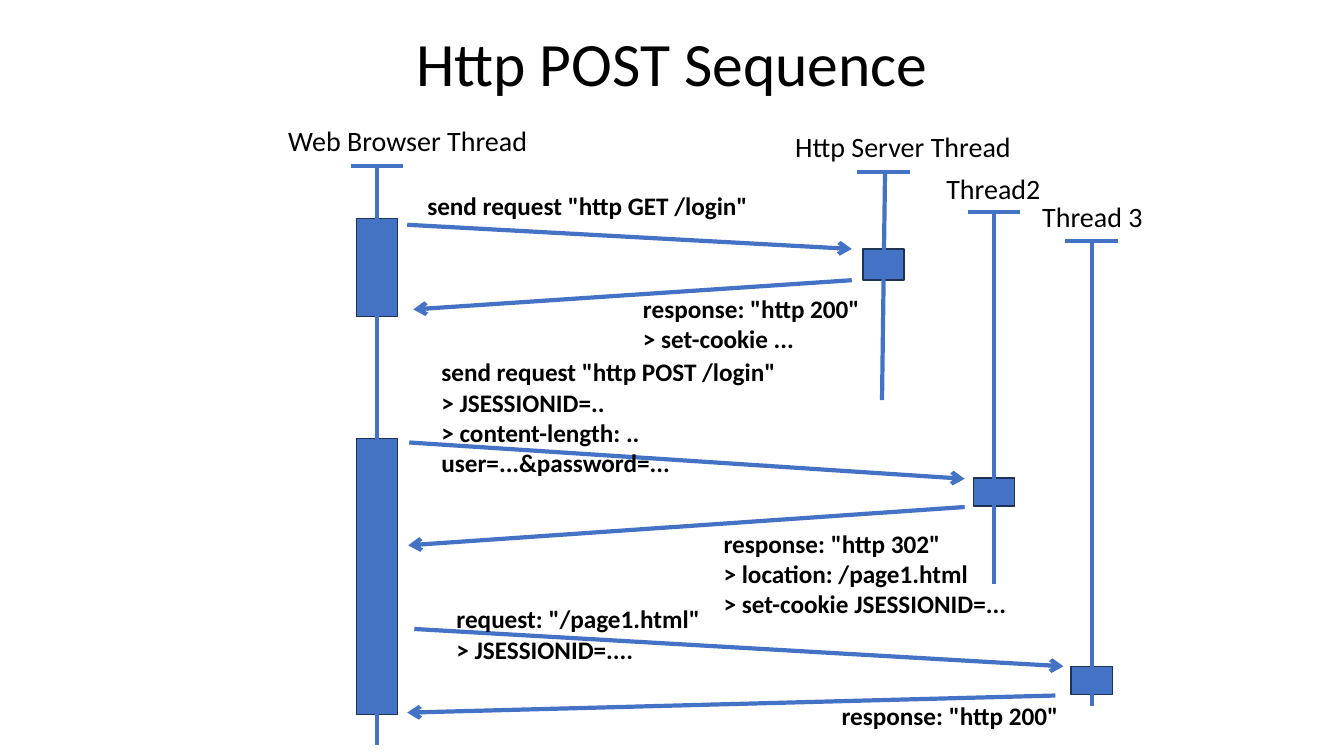
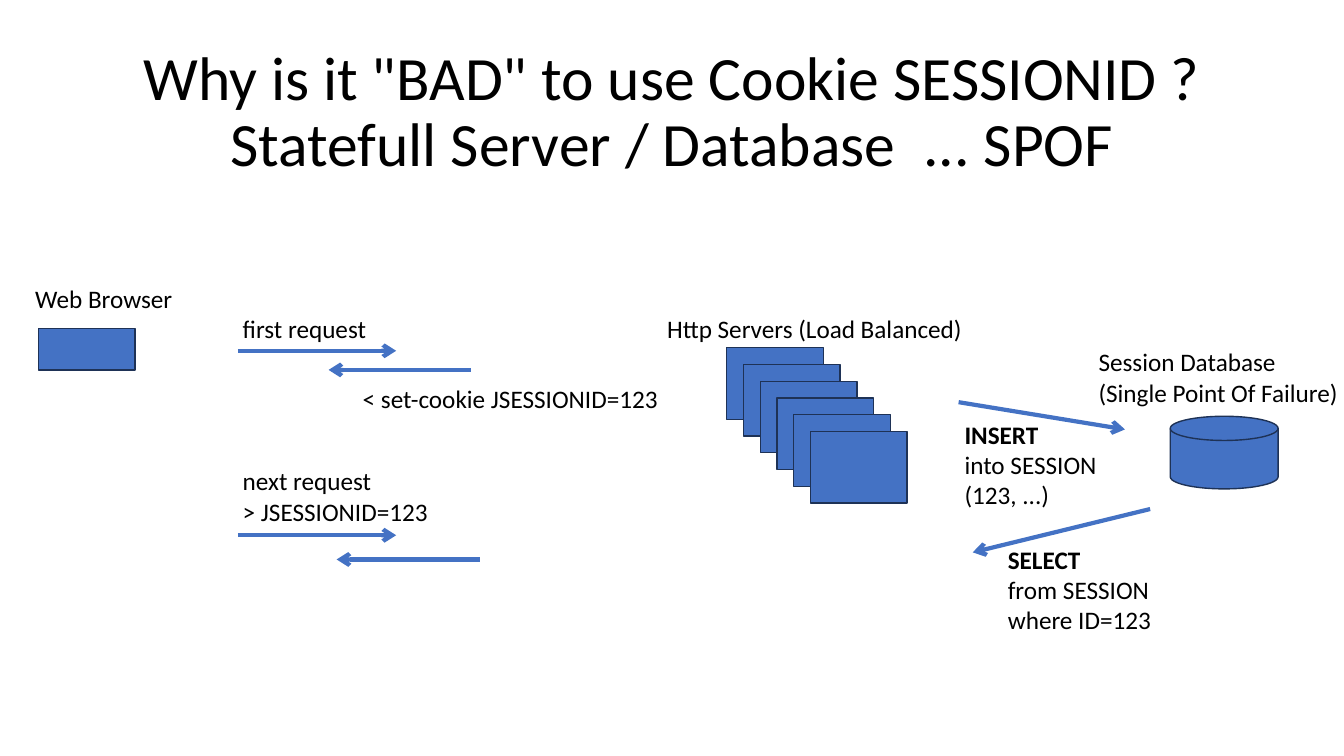
from dataclasses import dataclass

from lxml import etree
from pptx import Presentation, util as u
from pptx.dml.color import RGBColor
from pptx.enum import shapes, text
from pptx.oxml.ns import qn
from pptx.presentation import Presentation as Deck
from pptx.slide import Slide

CELL = 0.1  # inches; every position below counts columns and rows of this grid
COLUMNS, ROWS = 133.33, 75
BLUE = RGBColor(0x44, 0x72, 0xC4)
NAVY = RGBColor(0x1E, 0x32, 0x56)
BLACK = RGBColor(0, 0, 0)
FONT = "Calibri"
TITLE_SIZE, HEAD_SIZE, LABEL_SIZE = 44, 20, 18
TITLE_LEFT, TITLE_WIDTH = 9.2, 115
HEAD_BAR, ACTIVATION_WIDTH = 5.2, 4.1
SERVER_COUNT, SERVER_STEP = 6, 1.66


@dataclass(frozen=True)
class Label:
    left: float
    top: float
    width: float
    lines: tuple[str, ...]
    size: int = LABEL_SIZE


@dataclass(frozen=True)
class Arrow:
    x1: float
    y1: float
    x2: float
    y2: float


@dataclass(frozen=True)
class Block:
    left: float
    top: float
    width: float
    height: float
    kind: shapes.MSO_SHAPE = shapes.MSO_SHAPE.RECTANGLE


@dataclass(frozen=True)
class Lifeline:
    label: Label
    top_x: float
    top: float
    foot_x: float
    foot: float
    activations: tuple[tuple[float, float], ...]  # top and height of each


LIFELINES = (
    Lifeline(Label(27.6, 11.8, 25.9, ("Web Browser Thread",), HEAD_SIZE),
             37.4, 16.5, 37.4, 73.9, ((21.7, 9.7), (43.5, 27.4))),
    Lifeline(Label(77.9, 12.4, 23.7, ("Http Server Thread",), HEAD_SIZE),
             87.8, 17.1, 87.5, 39.7, ((24.7, 3.1),)),
    Lifeline(Label(92.9, 16.5, 11.4, ("Thread2",), HEAD_SIZE),
             98.6, 21, 98.6, 57.9, ((47.4, 2.8),)),
    Lifeline(Label(102.4, 19.3, 12.1, ("Thread 3",), HEAD_SIZE),
             108.3, 23.9, 108.3, 70, ((66.1, 2.8),)),
)
MESSAGES = (
    (Arrow(40.4, 22.3, 84.5, 24.7),
     Label(41.4, 18.4, 34.1, ('send request "http GET /login"',))),
    (Arrow(84.5, 27.8, 41, 30.7),
     Label(62.8, 28.6, 23.8, ('response: "http 200"', "> set-cookie ..."))),
    (Arrow(40.6, 43.9, 95.7, 47.5),
     Label(42.8, 34.9, 35.5, ('send request "http POST /login"', "> JSESSIONID=..",
                              "> content-length: ..", "user=...&password=..."))),
    (Arrow(95.7, 50.3, 40.5, 54.1),
     Label(70.8, 51.9, 30.3, ('response: "http 302"', "> location: /page1.html",
                              "> set-cookie JSESSIONID=..."))),
    (Arrow(41.1, 62.4, 105.5, 66.1),
     Label(44.3, 59.4, 26.4, ('request: "/page1.html"', "> JSESSIONID=...."))),
    (Arrow(104.7, 69, 40.4, 70.7),
     Label(82.5, 69, 23.8, ('response: "http 200"',))),
)

BROWSER = Block(3.8, 32.6, 9.6, 4.1)
DATABASE = Block(116.1, 41.3, 10.7, 7.2, shapes.MSO_SHAPE.FLOWCHART_MAGNETIC_DISK)
SERVERS = tuple(Block(72.1 + i * SERVER_STEP, 34.5 + i * SERVER_STEP, 9.6, 7.1)
                for i in range(SERVER_COUNT))
NOTES = (
    Label(65.2, 30.6, 31.7, ("Http Servers (Load Balanced)",)),
    Label(108, 33.9, 26, ("Session Database", "(Single Point Of Failure)")),
    Label(2.5, 27.6, 15.8, ("Web Browser",)),
    Label(23.1, 30.6, 14.4, ("first request",)),
    Label(35, 37.5, 31.7, ("< set-cookie JSESSIONID=123",)),
    Label(23.1, 45.7, 20.6, ("next request", "> JSESSIONID=123")),
)
HTTP_CALLS = (
    Arrow(23.6, 34.8, 39.3, 34.8),
    Arrow(46.7, 36.7, 32.6, 36.7),
    Arrow(23.6, 53.1, 39.3, 53.1),
    Arrow(47.6, 55.5, 33.4, 55.5),
)
QUERIES = (
    (Arrow(95.1, 39.9, 111.6, 42.6),
     Label(94.7, 41.1, 15.8, ("INSERT", "into SESSION", "(123, ...)"))),
    (Arrow(114.1, 50.5, 96.5, 54.8),
     Label(99, 53.5, 16.7, ("SELECT", "from SESSION", "where ID=123"))),
)


def grid(*cells: float) -> list[u.Length]:
    return [u.Inches(cell * CELL) for cell in cells]


def draw_title(page: Slide, top: float, height: float, wording: str) -> None:
    box = page.shapes.add_textbox(*grid(TITLE_LEFT, top, TITLE_WIDTH, height))
    frame = box.text_frame
    frame.word_wrap = True
    frame.vertical_anchor = text.MSO_ANCHOR.MIDDLE
    para = frame.paragraphs[0]
    para.text = wording
    para.alignment = text.PP_ALIGN.CENTER
    para.line_spacing = 0.9
    para.font.name, para.font.size = FONT, u.Pt(TITLE_SIZE)
    para.font.color.rgb = BLACK


def draw_label(page: Slide, label: Label, bold_lines: int = 0) -> None:
    """Draw the label with its first bold_lines lines in bold."""
    height = 1 + len(label.lines) * label.size / 6
    box = page.shapes.add_textbox(*grid(label.left, label.top, label.width, height))
    frame = box.text_frame
    frame.word_wrap = False
    frame.auto_size = text.MSO_AUTO_SIZE.SHAPE_TO_FIT_TEXT
    frame.text = "\n".join(label.lines)
    for index, para in enumerate(frame.paragraphs):
        para.font.name, para.font.size = FONT, u.Pt(label.size)
        para.font.color.rgb = BLACK
        para.font.bold = index < bold_lines


def draw_line(page: Slide, line: Arrow, arrowhead: bool = True) -> None:
    connector = page.shapes.add_connector(
        shapes.MSO_CONNECTOR.STRAIGHT, *grid(line.x1, line.y1, line.x2, line.y2))
    connector.line.color.rgb = BLUE
    connector.line.width = u.Pt(3)
    properties = connector._element.spPr
    if arrowhead:
        etree.SubElement(properties.find(qn("a:ln")), qn("a:tailEnd"), type="arrow")
    etree.SubElement(properties, qn("a:effectLst"))


def draw_block(page: Slide, block: Block) -> None:
    shape = page.shapes.add_shape(
        block.kind, *grid(block.left, block.top, block.width, block.height))
    shape.shadow.inherit = False
    shape.fill.solid()
    shape.fill.fore_color.rgb = BLUE
    shape.line.color.rgb = NAVY
    shape.line.width = u.Pt(1)


def draw_lifeline(page: Slide, life: Lifeline) -> None:
    middle = (life.top_x + life.foot_x) / 2
    for top, height in life.activations:
        draw_block(page, Block(middle - ACTIVATION_WIDTH / 2, top,
                               ACTIVATION_WIDTH, height))
    draw_line(page, Arrow(life.top_x, life.top, life.foot_x, life.foot), False)
    draw_line(page, Arrow(middle - HEAD_BAR / 2, life.top,
                          middle + HEAD_BAR / 2, life.top), False)
    draw_label(page, life.label)


def add_page(deck: Deck) -> Slide:
    return deck.slides.add_slide(deck.slide_layouts[6])


def add_post_sequence(deck: Deck) -> None:
    page = add_page(deck)
    draw_title(page, 2.3, 8.7, "Http POST Sequence")
    for life in LIFELINES:
        draw_lifeline(page, life)
    for arrow, label in MESSAGES:
        draw_line(page, arrow)
        draw_label(page, label, len(label.lines))


def add_session_problem(deck: Deck) -> None:
    page = add_page(deck)
    draw_title(page, 4, 14.5, 'Why is it "BAD" to use Cookie SESSIONID ?\v'
                              "Statefull Server / Database  ... SPOF")
    for block in (BROWSER, DATABASE, *SERVERS):
        draw_block(page, block)
    for arrow in HTTP_CALLS:
        draw_line(page, arrow)
    for note in NOTES:
        draw_label(page, note)
    for arrow, label in QUERIES:
        draw_line(page, arrow)
        draw_label(page, label, 1)


def main() -> None:
    deck = Presentation()
    deck.slide_width, deck.slide_height = grid(COLUMNS, ROWS)
    add_post_sequence(deck)
    add_session_problem(deck)
    deck.save("out.pptx")


if __name__ == "__main__":
    main()
